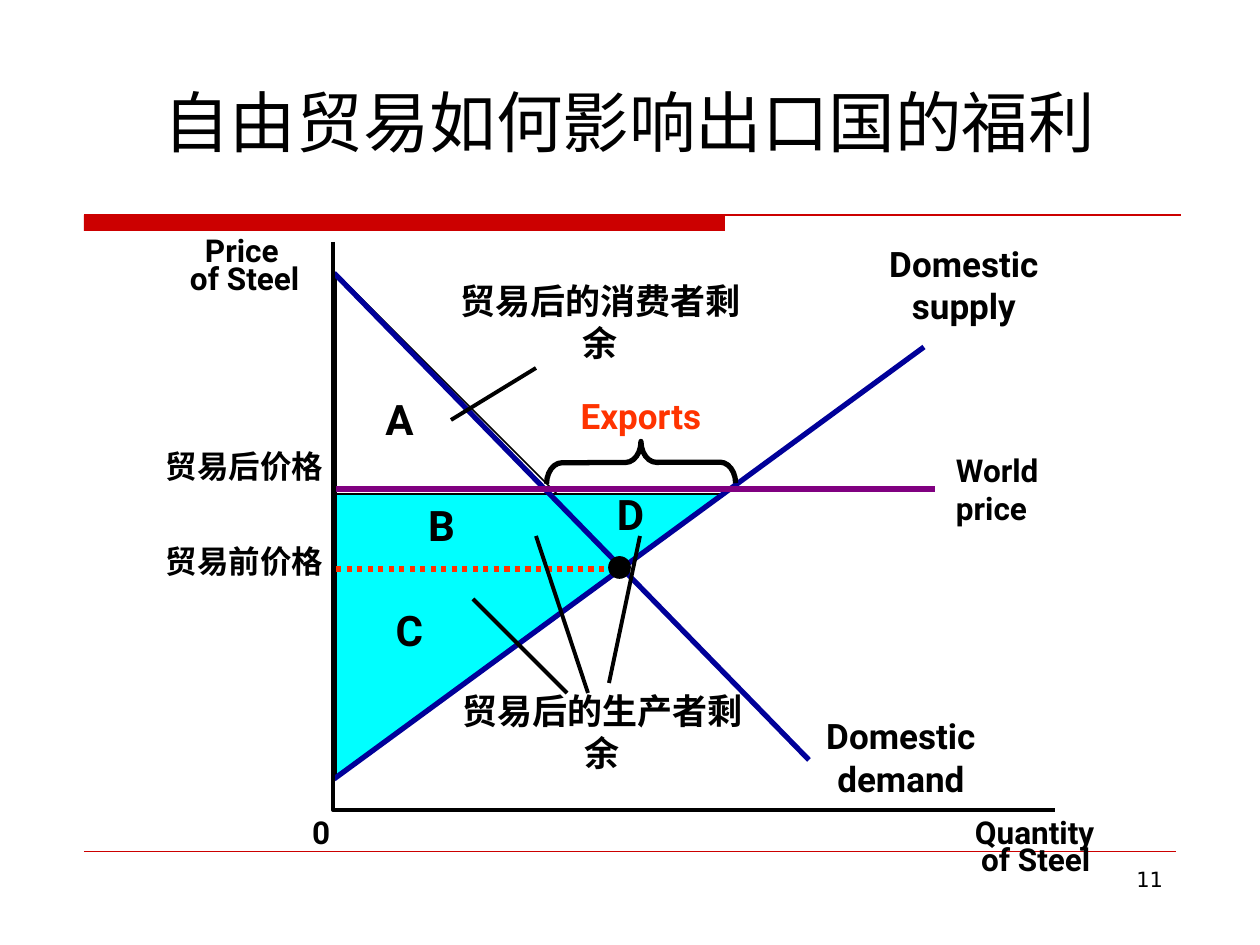
from dataclasses import dataclass

from lxml.etree import SubElement
from pptx import Presentation
from pptx.dml.color import RGBColor
from pptx.enum.dml import MSO_LINE
from pptx.enum.shapes import MSO_CONNECTOR, MSO_SHAPE
from pptx.enum.text import MSO_ANCHOR, PP_ALIGN
from pptx.oxml.ns import qn
from pptx.util import Emu, Pt

SCALE = 914400 / 126  # EMU in one px


@dataclass(frozen=True)
class Theme:
    black: str = "000000"
    white: str = "FFFFFF"
    rule: str = "CC0000"
    surplus: str = "00FFFF"
    curve: str = "000099"
    world: str = "800080"
    accent: str = "FF3300"
    label_font: str = "Roboto"
    title_font: str = "DejaVu Sans"
    title: int = 38
    letter: int = 24
    curve_label: int = 20
    axis_label: int = 18
    number: int = 12


THEME = Theme()
LEFT, CENTER, RIGHT = PP_ALIGN.LEFT, PP_ALIGN.CENTER, PP_ALIGN.RIGHT
TIGHT, PADDED = (0, 0), (13, 6)

# from x, from y, to x, to y, colour, points
RULES = [
    (84, 215, 1181, 215, THEME.rule, 0.75),
    (84, 851, 1176, 851, THEME.rule, 0.25),
]
PRICE_BEFORE = (336, 569, 624, 569, THEME.accent, 3)
CURVES = [
    (334, 779, 924, 347, THEME.curve, 3),
    (334, 273, 809, 760, THEME.curve, 3),
]
WORLD_PRICE = (336, 489, 935, 489, THEME.world, 3.5)
CALLOUTS = [
    (start_x, start_y, end_x, end_y, THEME.black, 2.25)
    for start_x, start_y, end_x, end_y in [
        (536, 368, 451, 420),
        (567, 693, 473, 599),
        (588, 693, 536, 536),
        (609, 683, 640, 536),
    ]
]
AXES = [(333, 242), (333, 810), (1055, 810)]

# lines, left, top, width, height, alignment, insets
AXIS_LABELS = [
    (["Price"], 205, 231, 78, 38, LEFT, TIGHT),
    (["of Steel"], 190, 259, 118, 38, LEFT, TIGHT),
    (["0"], 312, 813, 18, 38, LEFT, TIGHT),
    (["Quantity"], 975, 813, 140, 38, LEFT, TIGHT),
    (["of Steel"], 981, 840, 118, 38, LEFT, TIGHT),
    (["World", "price"], 956, 451, 112, 76, LEFT, TIGHT),
    (["贸易后价格"], 105, 441, 231, 50, RIGHT, PADDED),
    (["贸易前价格"], 105, 536, 231, 50, RIGHT, PADDED),
]
CURVE_LABELS = [
    (["Domestic", "demand"], 819, 715, 164, 84, CENTER, TIGHT),
    (["Domestic", "supply"], 882, 242, 164, 84, CENTER, TIGHT),
    (["贸易后的消费者剩余"], 430, 273, 341, 54, CENTER, PADDED),
    (["贸易后的生产者剩余"], 432, 683, 341, 54, CENTER, PADDED),
]
EXPORTS = (["Exports"], 557, 388, 168, 55, CENTER, PADDED)
AREA_LETTERS = [
    ([letter], left, top, 63, 63, CENTER, PADDED)
    for letter, left, top in [
        ("A", 368, 388), ("C", 378, 599), ("B", 410, 494), ("D", 599, 483)
    ]
]
TITLE = (["自由贸易如何影响出口国的福利"], 94, 42, 1071, 158, CENTER, PADDED)
PAGE_NUMBER = (["11"], 903, 861, 273, 66, RIGHT, PADDED)


def px(*lengths):
    return [Emu(round(length * SCALE)) for length in lengths]


def color(value):
    return RGBColor.from_string(value)


def add_line(slide, start_x, start_y, end_x, end_y, line_color, points):
    line = slide.shapes.add_connector(
        MSO_CONNECTOR.STRAIGHT, *px(start_x, start_y, end_x, end_y))
    line.line.color.rgb = color(line_color)
    line.line.width = Pt(points)
    SubElement(line._element.spPr, qn("a:effectLst"))
    return line


def style_shape(shape, fill, line_color, points):
    """Fill and outline a shape; None leaves that part out."""
    shape.shadow.inherit = False
    for part, value in ((shape.fill, fill), (shape.line.fill, line_color)):
        if value is None:
            part.background()
        else:
            part.solid()
            part.fore_color.rgb = color(value)
    if line_color:
        shape.line.width = Pt(points)


def add_preset(slide, preset, box, fill, line_color=None, points=1):
    shape = slide.shapes.add_shape(preset, *px(*box))
    style_shape(shape, fill, line_color, points)
    return shape


def add_label(slide, label, size, bold=True, font=THEME.label_font,
              text_color=THEME.black, anchor=MSO_ANCHOR.TOP):
    lines, left, top, width, height, alignment, (side, edge) = label
    frame = slide.shapes.add_textbox(*px(left, top, width, height)).text_frame
    inset_x, inset_y = px(side, edge)
    frame_format = {
        "margin_left": inset_x, "margin_right": inset_x,
        "margin_top": inset_y, "margin_bottom": inset_y,
        "word_wrap": alignment == RIGHT, "vertical_anchor": anchor,
    }
    for name, value in frame_format.items():
        setattr(frame, name, value)
    frame.text = "\n".join(lines)
    font_format = {"name": font, "size": Pt(size), "bold": bold}
    for paragraph in frame.paragraphs:
        paragraph.alignment = alignment
        for name, value in font_format.items():
            setattr(paragraph.font, name, value)
        paragraph.font.color.rgb = color(text_color)


def add_axes(slide):
    builder = slide.shapes.build_freeform(*AXES[0], scale=SCALE)
    builder.add_line_segments(AXES[1:], close=False)
    style_shape(builder.convert_to_shape(), None, THEME.black, 2.25)


def add_graph(slide):
    producer = add_preset(slide, MSO_SHAPE.RIGHT_TRIANGLE, (336, 494, 388, 284),
                          THEME.surplus, THEME.black)
    producer._element.spPr.xfrm.set("flipV", "1")
    add_preset(slide, MSO_SHAPE.RIGHT_TRIANGLE, (336, 273, 221, 221),
               THEME.white, THEME.black)
    add_line(slide, *PRICE_BEFORE).line.dash_style = MSO_LINE.ROUND_DOT
    for curve in CURVES:
        add_line(slide, *curve)
    add_axes(slide)
    add_line(slide, *WORLD_PRICE)
    brace = add_preset(slide, MSO_SHAPE.LEFT_BRACE, (620, 368, 42, 189),
                       None, THEME.black, 3)
    brace.rotation = 89.8
    brace.adjustments[0] = 0.37


def main():
    presentation = Presentation()
    presentation.slide_width, presentation.slide_height = px(1260, 945)
    slide = presentation.slides.add_slide(presentation.slide_layouts[6])

    add_preset(slide, MSO_SHAPE.RECTANGLE, (84, 215, 641, 16), THEME.rule)
    for rule in RULES:
        add_line(slide, *rule)
    add_graph(slide)
    add_label(slide, TITLE, THEME.title, False, THEME.title_font,
              anchor=MSO_ANCHOR.MIDDLE)
    for labels, size in ((AXIS_LABELS, THEME.axis_label),
                         (CURVE_LABELS, THEME.curve_label),
                         (AREA_LETTERS, THEME.letter)):
        for label in labels:
            add_label(slide, label, size)
    add_label(slide, EXPORTS, THEME.curve_label, text_color=THEME.accent)
    for callout in CALLOUTS:
        add_line(slide, *callout)
    add_preset(slide, MSO_SHAPE.OVAL, (609, 557, 21, 21), THEME.black, THEME.black)
    add_label(slide, PAGE_NUMBER, THEME.number, False, THEME.title_font)
    presentation.save("out.pptx")


if __name__ == "__main__":
    main()
